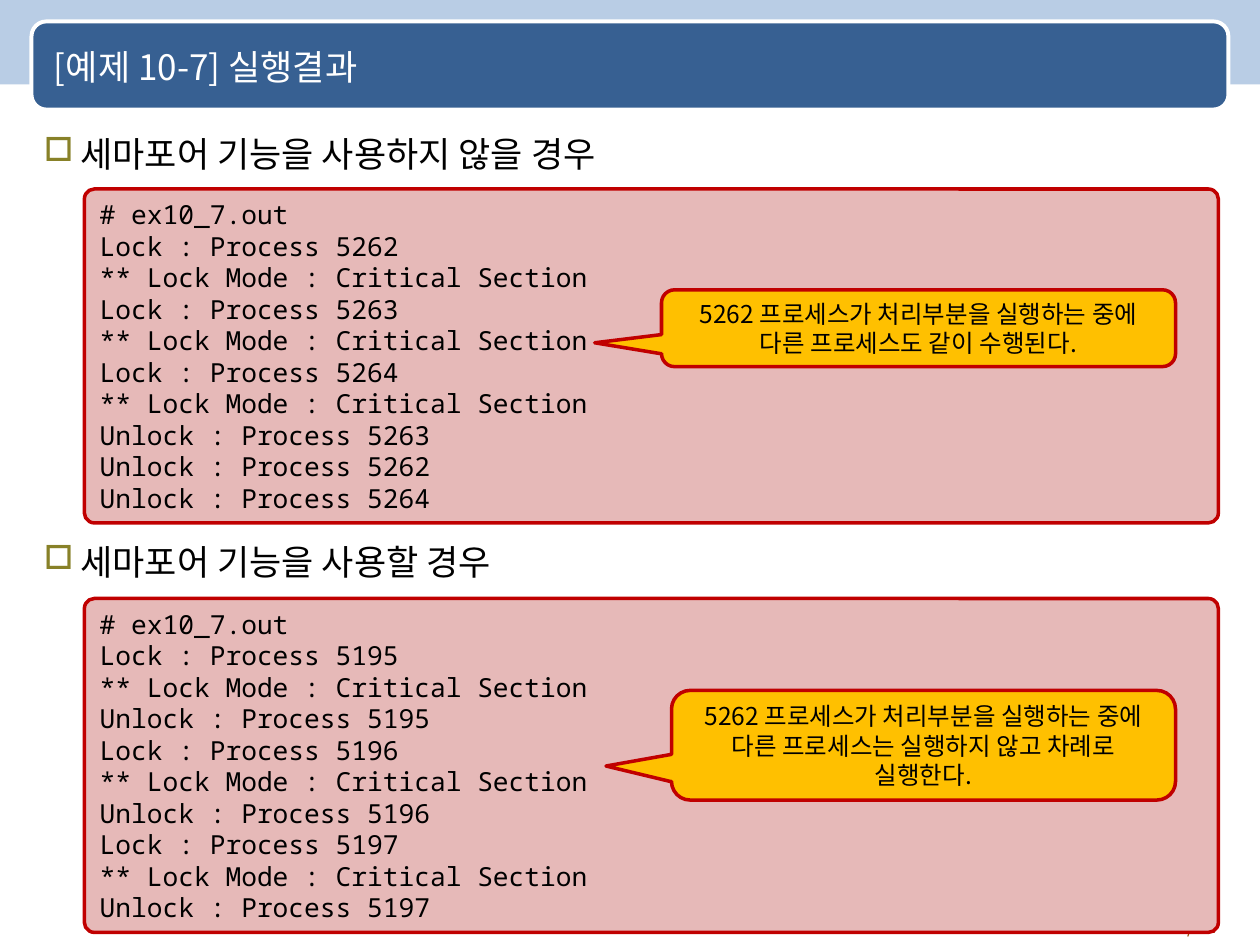
from lxml import etree
from pptx import Presentation
from pptx.dml.color import RGBColor
from pptx.enum import shapes, text
from pptx.oxml import ns
from pptx.util import Inches, Pt

SANS, MONO = "Noto Sans CJK KR", "Noto Sans Mono"
HEX = {"band": "B9CDE5", "bar": "376092", "white": "FFFFFF", "black": "000000",
       "page": "984807", "mark": "888128", "code": "E6B9B8", "edge": "C00000",
       "note": "FFC000"}
KIND = shapes.MSO_SHAPE
ALIGN = text.PP_ALIGN
MIDDLE, TOP = text.MSO_ANCHOR.MIDDLE, text.MSO_ANCHOR.TOP

TITLE = "[예제 10-7] 실행결과"
PAGE = "23/42"
MODE = "** Lock Mode : Critical Section"
CASES = [
    {"head": "세마포어 기능을 사용하지 않을 경우", "top": 1, "code_top": 1.5,
     "code": ["# ex10_7.out",
              "Lock : Process 5262", MODE,
              "Lock : Process 5263", MODE,
              "Lock : Process 5264", MODE,
              "Unlock : Process 5263",
              "Unlock : Process 5262",
              "Unlock : Process 5264"],
     "note": "5262 프로세스가 처리부분을 실행하는 중에 다른 프로세스도 같이 수행된다.",
     "note_at": (5.25, 2.3, 4.08, 0.61)},
    {"head": "세마포어 기능을 사용할 경우", "top": 4.24, "code_top": 4.75,
     "code": ["# ex10_7.out",
              "Lock : Process 5195", MODE, "Unlock : Process 5195",
              "Lock : Process 5196", MODE, "Unlock : Process 5196",
              "Lock : Process 5197", MODE, "Unlock : Process 5197"],
     "note": "5262 프로세스가 처리부분을 실행하는 중에 다른 프로세스는 실행하지 않고 "
             "차례로 실행한다.",
     "note_at": (5.33, 5.48, 4, 0.87)},
]

deck = Presentation()
deck.slide_width, deck.slide_height = Inches(10), Inches(7.5)
slide = deck.slides.add_slide(deck.slide_layouts[6])


def color(name):
    return RGBColor.from_string(HEX[name])


def bullet(para):
    """Give a paragraph a hanging square mark."""
    props = para._p.get_or_add_pPr()
    props.set("marL", str(Inches(0.29)))
    props.set("indent", str(-Inches(0.29)))
    tint = etree.SubElement(props, ns.qn("a:buClr"))
    etree.SubElement(tint, ns.qn("a:srgbClr"), val=HEX["mark"])
    etree.SubElement(props, ns.qn("a:buSzPct"), val="95000")
    etree.SubElement(props, ns.qn("a:buChar"), char="□")


def write(shape, lines, size=20, font=SANS, ink="black", align=ALIGN.LEFT,
          anchor=MIDDLE, mark=False):
    frame = shape.text_frame
    frame.word_wrap = True
    frame.vertical_anchor = anchor
    for i, line in enumerate(lines):
        para = frame.add_paragraph() if i else frame.paragraphs[0]
        para.alignment = align
        if mark:
            bullet(para)
        run = para.add_run()
        run.text = line
        run.font.size, run.font.name = Pt(size), font
        run.font.color.rgb = color(ink)
        etree.SubElement(run._r.get_or_add_rPr(), ns.qn("a:ea"), typeface=font)


def label(at, line, **form):
    write(slide.shapes.add_textbox(*map(Inches, at)), [line], **form)


def block(kind, at, fill, edge=None, width=2, adjust=()):
    shape = slide.shapes.add_shape(kind, *map(Inches, at))
    shape.shadow.inherit = False
    shape.fill.solid()
    shape.fill.fore_color.rgb = color(fill)
    if edge:
        shape.line.color.rgb = color(edge)
        shape.line.width = Pt(width)
    else:
        shape.line.fill.background()
    for i, value in enumerate(adjust):
        shape.adjustments[i] = value
    return shape


block(KIND.RECTANGLE, (-0.01, 0, 10.02, 0.67), "band")
block(KIND.ROUNDED_RECTANGLE, (0.25, 0.17, 9.5, 0.7), "bar", "white", 2.25, [0.17])
label((8.92, 7.21, 0.83, 0.29), PAGE, size=11, ink="page", align=ALIGN.RIGHT,
      anchor=TOP)
label((0.33, 0.19, 9.25, 0.67), TITLE, ink="white")

for case in CASES:
    label((0.25, case["top"], 9.5, 0.5), case["head"], anchor=TOP, mark=True)
    panel = block(KIND.ROUNDED_RECTANGLE, (0.67, case["code_top"], 9, 2.65),
                  "code", "edge", adjust=[0.03])
    write(panel, case["code"], size=15, font=MONO, align=ALIGN.JUSTIFY)
    note = block(KIND.ROUNDED_RECTANGULAR_CALLOUT, case["note_at"],
                 "note", "edge", adjust=[-0.63, 0.19, 0.17])
    write(note, [case["note"]], size=14, align=ALIGN.CENTER)

deck.save("out.pptx")
